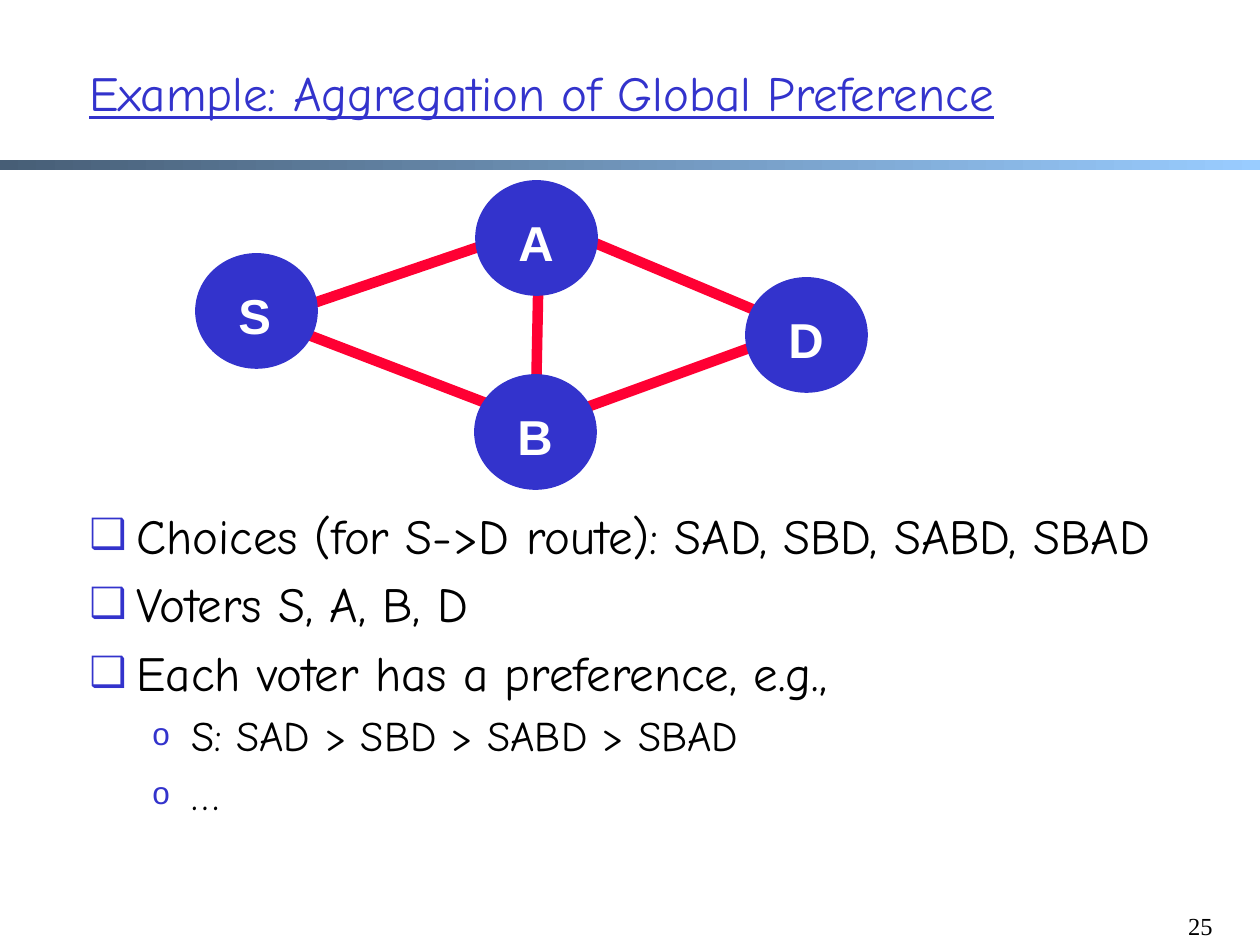
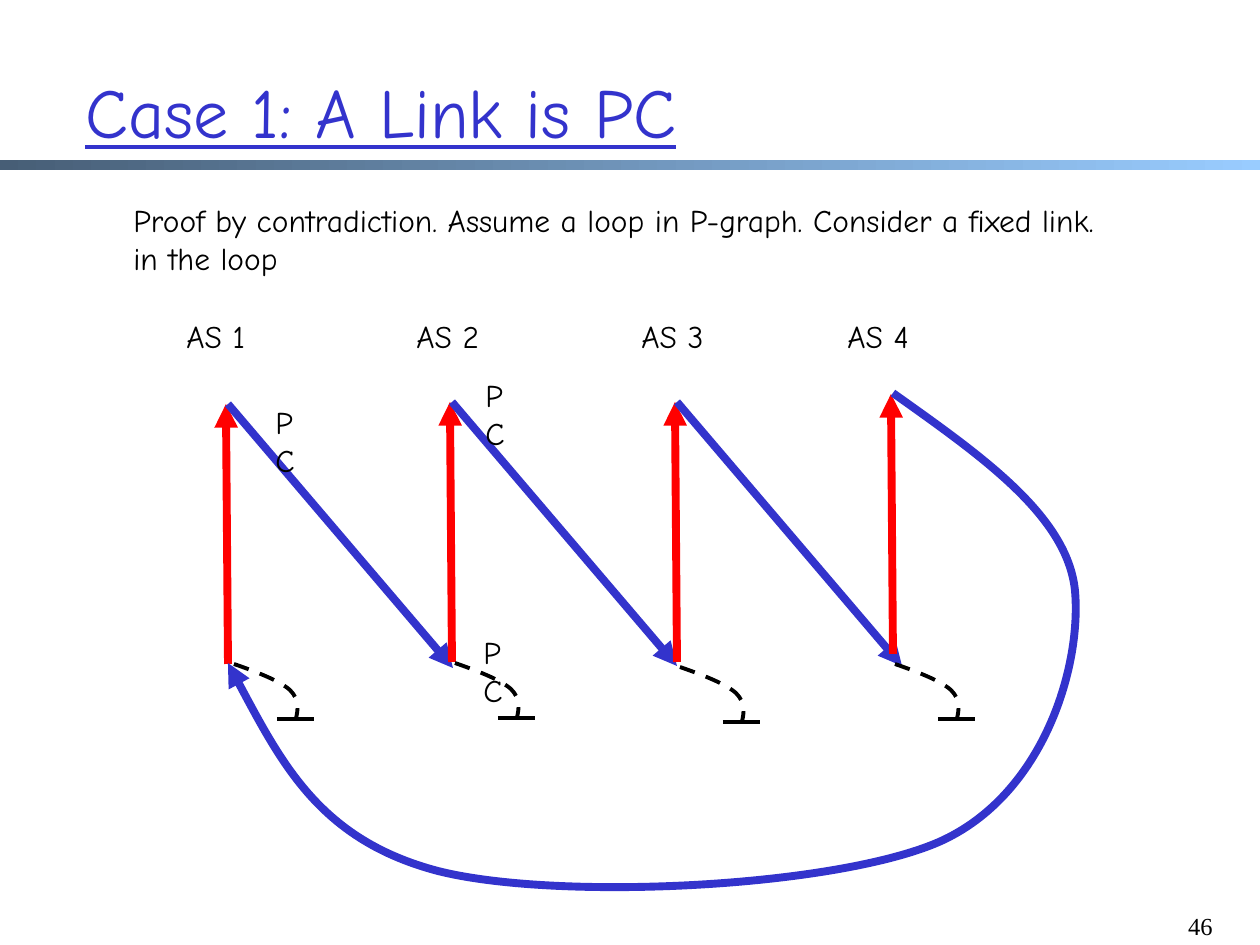
"""Builds two slides on routing: a voting example and a loop proof."""
from lxml.etree import SubElement
from pptx import Presentation
from pptx.dml.color import RGBColor
from pptx.enum.dml import MSO_LINE
from pptx.enum.shapes import MSO_CONNECTOR as Link, MSO_SHAPE as Form
from pptx.enum.text import MSO_ANCHOR as Anchor, PP_ALIGN as Align
from pptx.oxml.ns import qn
from pptx.util import Pt

PX = 914400 / 126
HUES = {"blue": "3333CC", "black": "000000", "white": "FFFFFF", "red": "FF0000",
        "rose": "FF0033", "dark": "475E76", "sky": "99CCFF"}
HAND, SANS, SERIF = "Comic Neue", "Arial", "Times New Roman"

VOTE = {
    "title": ("Example: Aggregation of Global Preference", (77, 26, 1106, 131), 28),
    "page": "25",
    "nodes": [("S", 196, 254), ("A", 476, 181), ("B", 475, 375), ("D", 746, 278)],
    "edges": [(539, 249, 536, 401), (571, 233, 776, 319), (557, 418, 799, 330),
              (525, 418, 285, 326), (505, 238, 261, 321)],
    "points": [(0, "Choices (for S->D route): SAD, SBD, SABD, SBAD"),
               (0, "Voters S, A, B, D"),
               (0, "Each voter has a preference, e.g.,"),
               (1, "S: SAD > SBD > SABD > SBAD"),
               (1, "…")],
}
LEVELS = [{"char": "❑", "size": 28, "left": 47, "hang": 47, "pct": 85},
          {"char": "o", "size": 24, "left": 102, "hang": 39, "pct": 75}]

PROOF = {
    "title": ("Case 1: A Link is PC", (73, 32, 1106, 157), 40),
    "page": "46",
    "claim": ["Proof by contradiction. Assume a loop in P-graph. Consider a fixed link.",
              "in the loop"],
    "nets": [("AS 1", 174, 228, 664), ("AS 2", 404, 452, 662),
             ("AS 3", 629, 677, 662), ("AS 4", 835, 893, 654)],
    "marks": [(263, 397), (471, 627), (473, 370)],
    "loop": [(893, 393), (980, 455), (1067, 515), (1075, 590), (1082, 664),
             (1045, 795), (939, 842), (833, 888), (557, 901), (438, 871),
             (320, 840), (275, 751), (228, 663)],
    "tails": [(234, 664), (455, 663), (680, 667), (895, 664)],
}
HOOK = [(0, 0), (23, 8), (46, 17), (56, 26), (66, 36), (64, 46), (62, 55)]
RISE, STEP = 260, 225


def emu(*nums):
    return [round(n * PX) for n in nums]


def hue(name):
    return RGBColor.from_string(HUES[name])


def run(para, text, size, tint="black", face=HAND, bold=False, under=False):
    bit = para.add_run()
    bit.text = text
    font = bit.font
    font.size, font.name, font.bold, font.underline = Pt(size), face, bold, under
    font.color.rgb = hue(tint)


def box(slide, area):
    frame = slide.shapes.add_textbox(*emu(*area)).text_frame
    frame.word_wrap = True
    return frame


def label(slide, text, area, size, *style):
    para = box(slide, area).paragraphs[0]
    run(para, text, size, *style)
    return para


def pen(shape, tint, width, head=False, dash=False):
    line = shape.line
    line.color.rgb, line.width = hue(tint), Pt(width)
    if dash:
        line.dash_style = MSO_LINE.DASH
    if head:
        SubElement(line._get_or_add_ln(), qn("a:tailEnd"), type="triangle")


def link(slide, ends, tint, width, head=False):
    wire = slide.shapes.add_connector(Link.STRAIGHT, *emu(*ends))
    pen(wire, tint, width, head)
    SubElement(wire._element.spPr, qn("a:effectLst"))


def curve(slide, dots, tint, width, head=False, dash=False):
    first, *rest = [tuple(emu(*dot)) for dot in dots]
    maker = slide.shapes.build_freeform(*first)
    maker.add_line_segments(rest, close=False)
    shape = maker.convert_to_shape()
    shape.shadow.inherit = False
    shape.fill.background()
    pen(shape, tint, width, head, dash)
    track = shape._element.find(".//" + qn("a:path"))
    legs = track.findall(qn("a:lnTo"))
    for i in range(0, len(legs), 3):
        bend = SubElement(track, qn("a:cubicBezTo"))
        for leg in legs[i:i + 3]:
            bend.append(leg[0])
            track.remove(leg)


def base(deck, data):
    slide = deck.slides.add_slide(deck.slide_layouts[6])
    band = slide.shapes.add_shape(Form.RECTANGLE, *emu(0, 160, 1260, 10))
    band.shadow.inherit = False
    band.line.fill.background()
    band.fill.gradient()
    band.fill.gradient_angle = 0
    for stop, tint, at in zip(band.fill.gradient_stops, ("dark", "sky"), (0, 1)):
        stop.color.rgb, stop.position = hue(tint), at
    text, area, size = data["title"]
    frame = box(slide, area)
    frame.vertical_anchor = Anchor.MIDDLE
    run(frame.paragraphs[0], text, size, "blue", under=True)
    page = label(slide, data["page"], (1166, 905, 59, 40), 14, "black", SERIF)
    page.alignment = Align.RIGHT
    return slide


def bullet(para, level):
    props = para._p.get_or_add_pPr()
    left, hang = emu(level["left"], level["hang"])
    props.set("marL", str(left))
    props.set("indent", str(-hang))
    tint = SubElement(props, qn("a:buClr"))
    SubElement(tint, qn("a:srgbClr"), val=HUES["blue"])
    SubElement(props, qn("a:buSzPct"), val=str(level["pct"] * 1000))
    SubElement(props, qn("a:buFont"), typeface=SANS)
    SubElement(props, qn("a:buChar"), char=level["char"])


def vote(deck):
    slide = base(deck, VOTE)
    for ends in VOTE["edges"]:
        link(slide, ends, "rose", 6)
    for name, x, y in VOTE["nodes"]:
        disc = slide.shapes.add_shape(Form.OVAL, *emu(x, y, 121, 114))
        disc.shadow.inherit = False
        disc.fill.solid()
        disc.fill.fore_color.rgb = hue("blue")
        pen(disc, "blue", 1)
        label(slide, name, (x + 30, y + 25, 60, 72), 28, "white", SANS, True)
    frame = box(slide, (77, 499, 1148, 406))
    for i, (depth, text) in enumerate(VOTE["points"]):
        para = frame.add_paragraph() if i else frame.paragraphs[0]
        level = LEVELS[depth]
        bullet(para, level)
        para.level = depth
        if i:
            para.space_before = Pt(level["size"] / 5)
        run(para, text, level["size"])


def proof(deck):
    slide = base(deck, PROOF)
    nets = PROOF["nets"]
    for i, (name, left, x, y) in enumerate(nets):
        top = y - RISE
        link(slide, (x, y, x - 2, top), "red", 4.5, True)
        if i < len(nets) - 1:
            link(slide, (x, top, x + STEP, y + 4), "blue", 4.5, True)
        label(slide, name, (left, 311, 98, 50), 18)
    curve(slide, PROOF["loop"], "blue", 4.5, head=True)
    for x, y in PROOF["tails"]:
        curve(slide, [(x + dx, y + dy) for dx, dy in HOOK], "black", 2.25, dash=True)
        link(slide, (x + 43, y + 55, x + 80, y + 55), "black", 2.25)
    for x, y in PROOF["marks"]:
        label(slide, "PC", (x, y, 60, 50), 18)
    first, last = PROOF["claim"]
    para = label(slide, first, (121, 195, 1071, 89), 18)
    para.add_line_break()
    run(para, last, 18)


def main():
    deck = Presentation()
    deck.slide_width, deck.slide_height = emu(1260, 945)
    vote(deck)
    proof(deck)
    deck.save("out.pptx")


if __name__ == "__main__":
    main()
